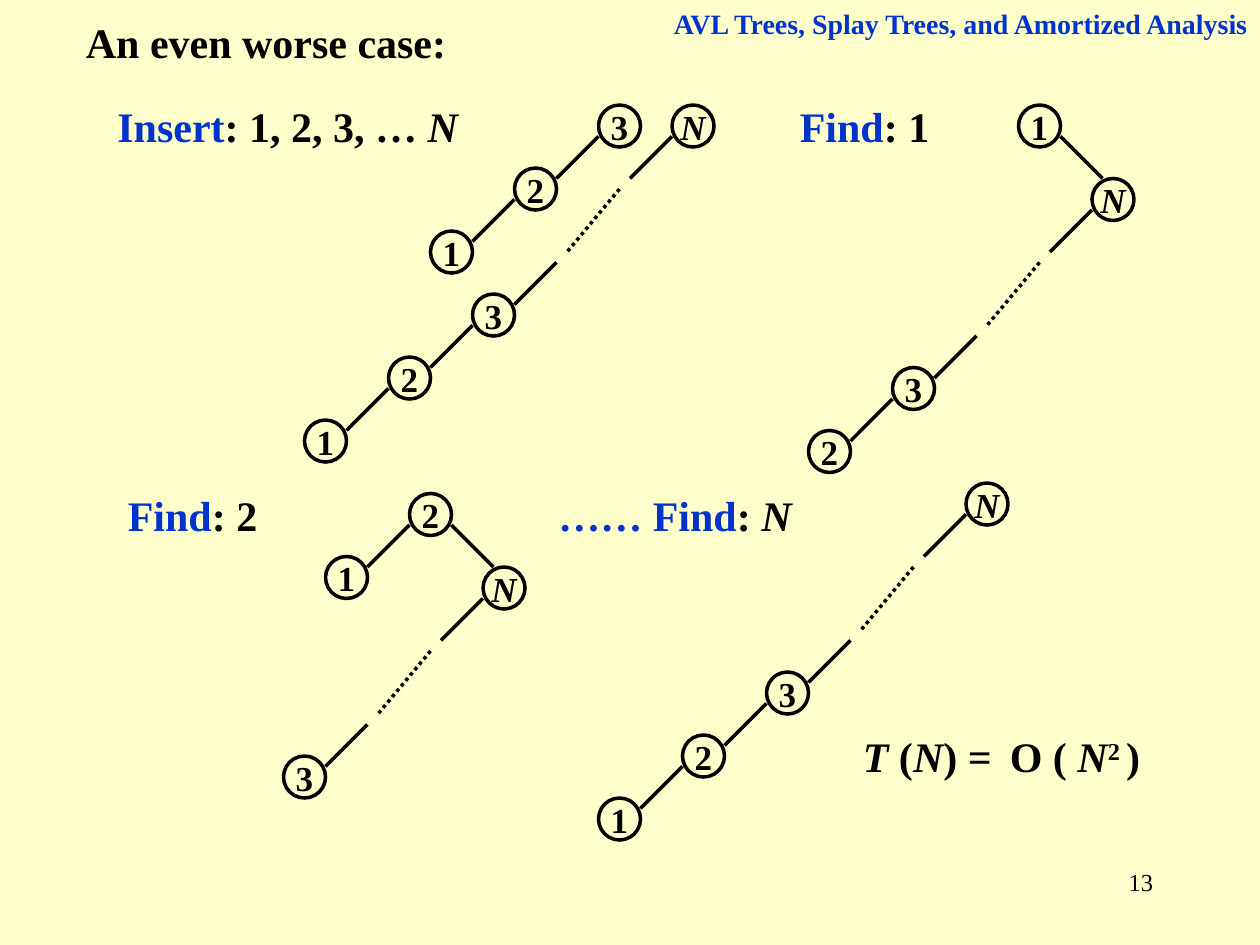
"""Build the slide on the worst case of naive rotations: four trees and a bound."""
from lxml import etree
from pptx import Presentation, util as u
from pptx.dml.color import RGBColor
from pptx.enum import dml, shapes, text
from pptx.oxml.ns import qn

PX = u.Inches(1) // 120
PAPER = RGBColor(0xFF, 0xFF, 0xCC)
INK = RGBColor(0, 0, 0)
BLUE = RGBColor(0x00, 0x33, 0xCC)
FONT = "Times New Roman"
NODE = 40
LEFT_CHILD = (-80, 60)
RIGHT_CHILD = (70, 70)
SPINE_END = (-190, 180)


def offset(origin, step):
    """Return the point one step away from the origin."""
    return origin[0] + step[0], origin[1] + step[1]


def style_paragraph(paragraph, size, bold=True, align=text.PP_ALIGN.LEFT):
    """Set the font and alignment shared by all runs of a paragraph."""
    paragraph.alignment = align
    paragraph.font.name = FONT
    paragraph.font.size = u.Pt(size)
    paragraph.font.bold = bold


def add_run(paragraph, words, color=INK, italic=False, raised=False):
    """Append a run, optionally italic or superscript."""
    run = paragraph.add_run()
    run.text = words
    run.font.color.rgb = color
    run.font.italic = italic
    if raised:
        run._r.get_or_add_rPr().set("baseline", "30000")


def add_label(slide, box, runs, size=24, bold=True, align=text.PP_ALIGN.LEFT):
    """Add a text box of one paragraph from run argument tuples."""
    frame = slide.shapes.add_textbox(*(length * PX for length in box)).text_frame
    frame.word_wrap = True
    style_paragraph(frame.paragraphs[0], size, bold, align)
    for run in runs:
        add_run(frame.paragraphs[0], *run)


def add_node(tree, key, corner):
    """Add a circled key with its top left at the corner."""
    x, y = corner
    node = tree.shapes.add_shape(shapes.MSO_SHAPE.OVAL, x * PX, y * PX, NODE * PX, NODE * PX)
    node.shadow.inherit = False
    node.fill.background()
    node.line.color.rgb = INK
    node.line.width = u.Pt(2)
    frame = node.text_frame
    frame.word_wrap = False
    frame.vertical_anchor = text.MSO_ANCHOR.MIDDLE
    style_paragraph(frame.paragraphs[0], 20, align=text.PP_ALIGN.CENTER)
    add_run(frame.paragraphs[0], key, INK, key == "N")


def add_link(tree, start, end, dotted=False):
    """Add a solid or dotted tree edge."""
    link = tree.shapes.add_connector(
        shapes.MSO_CONNECTOR.STRAIGHT, *(length * PX for length in (*start, *end)))
    link.line.color.rgb = INK
    link.line.width = u.Pt(2)
    if dotted:
        link.line.dash_style = dml.MSO_LINE.ROUND_DOT
    etree.SubElement(link._element.spPr, qn("a:effectLst"))


def add_left_link(tree, parent):
    """Add the edge that leaves a node to the lower left."""
    add_link(tree, offset(parent, (0, 30)), offset(parent, (-40, 70)))


def add_left_chain(tree, keys, top):
    """Add nodes that descend to the left, linked in turn."""
    add_node(tree, keys[0], top)
    for key in keys[1:]:
        add_left_link(tree, top)
        top = offset(top, LEFT_CHILD)
        add_node(tree, key, top)


def add_right_link(tree, parent):
    """Add the edge that leaves a node to the lower right."""
    add_link(tree, offset(parent, (NODE, 30)), offset(parent, (80, 70)))


def add_spine(tree, top, tail):
    """Add N, the dotted stretch below it and the chain of tail keys."""
    add_node(tree, "N", top)
    add_left_link(tree, top)
    add_link(tree, offset(top, (-50, 80)), offset(top, (-100, 140)), dotted=True)
    chain = offset(top, SPINE_END)
    add_link(tree, offset(chain, (80, -30)), offset(chain, (40, 10)))
    add_left_chain(tree, tail, chain)


def add_rooted_spine(tree, root_keys, root, tail):
    """Add a left chain whose root has a spine as its right child."""
    add_left_chain(tree, root_keys, root)
    add_right_link(tree, root)
    add_spine(tree, offset(root, RIGHT_CHILD), tail)


def main():
    """Assemble the slide and save it."""
    deck = Presentation()
    deck.slide_width, deck.slide_height = 1200 * PX, 900 * PX
    slide = deck.slides.add_slide(deck.slide_layouts[6])
    slide.background.fill.solid()
    slide.background.fill.fore_color.rgb = PAPER

    right = text.PP_ALIGN.RIGHT
    add_label(slide, (860, 820, 250, 60), [("13",)], 14, False, right)
    add_label(slide, (590, 0, 610, 44),
              [("AVL Trees, Splay Trees, and Amortized Analysis", BLUE)], 16, align=right)
    add_label(slide, (70, 10, 490, 60), [("An even worse case:",)])
    add_label(slide, (100, 90, 490, 60),
              [("Insert", BLUE), (": 1, 2, 3, … ",), ("N", INK, True)])
    add_label(slide, (750, 90, 170, 60), [("Find", BLUE), (": 1",)])
    add_label(slide, (110, 460, 170, 60), [("Find", BLUE), (": 2",)])
    add_label(slide, (520, 460, 310, 60),
              [("…… Find", BLUE), (": ",), ("N", INK, True)])
    add_label(slide, (810, 690, 170, 60),
              [("T", INK, True), (" (",), ("N", INK, True), (") =",)])
    add_label(slide, (950, 690, 180, 60),
              [("O ( ",), ("N", INK, True), ("2 ", INK, False, True), (")",)])

    first_inserts, inserted, found_1, found_2, found_n = (
        slide.shapes.add_group_shape() for _ in range(5))
    add_left_chain(first_inserts, "321", (570, 100))
    add_spine(inserted, (640, 100), "321")
    add_rooted_spine(found_1, "1", (970, 100), "32")
    add_rooted_spine(found_2, "21", (390, 470), "3")
    add_spine(found_n, (920, 460), "321")
    deck.save("out.pptx")


if __name__ == "__main__":
    main()
